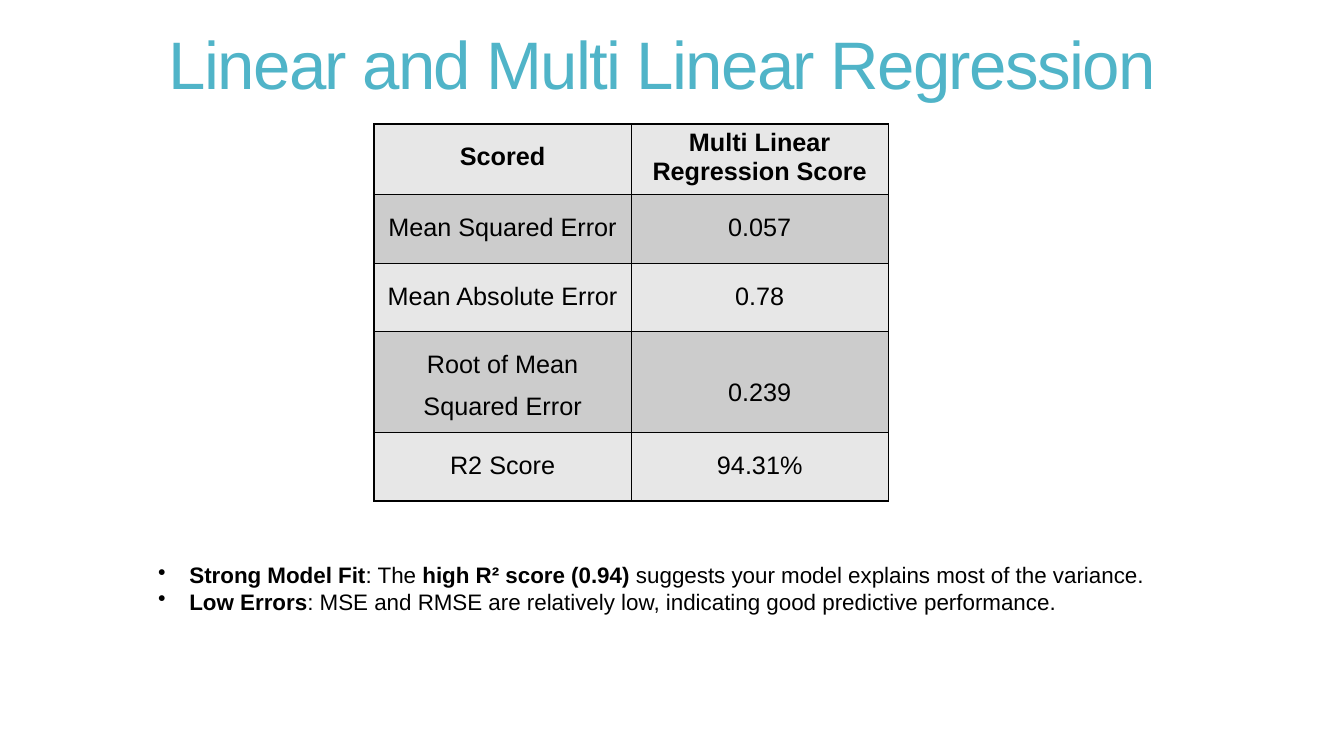
from lxml import etree
from pptx import Presentation
from pptx.dml.color import RGBColor
from pptx.enum.text import MSO_ANCHOR, PP_ALIGN
from pptx.oxml.ns import qn
from pptx.util import Inches, Pt

CENTER = PP_ALIGN.CENTER
MIDDLE = MSO_ANCHOR.MIDDLE
FONT = "Arial"
COLORS = {"title": "50B4C8", "text": "000000", "light": "E7E7E7", "dark": "CCCCCC"}

# Each cell holds its text and line spacing.
SCORES = [
    [("Scored", 1.5), ("Multi Linear Regression Score", 1.0)],
    [("Mean Squared Error", 1.5), ("0.057", 1.5)],
    [("Mean Absolute Error", 1.5), ("0.78", 1.5)],
    [("Root of Mean Squared Error", 1.5), ("0.239", 2.5)],
    [("R2 Score", 1.5), ("94.31%", 1.5)],
]
# Each note alternates bold and plain runs.
NOTES = [
    ["Strong Model Fit", ": The ", "high R² score (0.94)",
     " suggests your model explains most of the variance."],
    ["Low Errors",
     ": MSE and RMSE are relatively low, indicating good predictive performance."],
]


def rgb(name):
    return RGBColor.from_string(COLORS[name])


def set_font(para, size, color="text"):
    font = para.font
    font.name, font.size = FONT, Pt(size)
    font.color.rgb = rgb(color)


def add_box(slide, left, top, width, height):
    box = slide.shapes.add_textbox(
        Inches(left), Inches(top), Inches(width), Inches(height))
    box.text_frame.word_wrap = True
    return box.text_frame


def add_title(slide, text):
    frame = add_box(slide, 0.68, 0.12, 11.78, 1.12)
    frame.vertical_anchor = MIDDLE
    para = frame.paragraphs[0]
    run = para.add_run()
    run.text = text
    para.alignment, para.line_spacing = CENTER, 0.85
    set_font(para, 48, "title")
    run.font._element.set("spc", "-120")


def add_border(cell):
    props = cell._tc.get_or_add_tcPr()
    for pos, side in enumerate(("lnL", "lnR", "lnT", "lnB")):
        line = etree.Element(qn("a:" + side), w=str(Pt(1)))
        fill = etree.SubElement(line, qn("a:solidFill"))
        etree.SubElement(fill, qn("a:srgbClr"), val=COLORS["text"])
        props.insert(pos, line)


def add_scores(slide):
    rows, cols = len(SCORES), len(SCORES[0])
    table = slide.shapes.add_table(
        rows, cols, Inches(3.71), Inches(1.23),
        Inches(2.55 * cols), Inches(0.68 * rows)).table
    for r, row in enumerate(SCORES):
        for c, (text, spacing) in enumerate(row):
            cell = table.cell(r, c)
            cell.text = text
            cell.margin_left = cell.margin_right = Inches(0.09)
            cell.margin_top = cell.margin_bottom = Inches(0.05)
            cell.fill.solid()
            cell.fill.fore_color.rgb = rgb("dark" if r % 2 else "light")
            para = cell.text_frame.paragraphs[0]
            para.alignment, para.line_spacing = CENTER, spacing
            set_font(para, 18)
            para.font.bold = r == 0
            add_border(cell)


def add_bullet(para):
    props = para._p.get_or_add_pPr()
    indent = Inches(0.31)
    props.set("marL", str(indent))
    props.set("indent", str(-indent))
    mark = etree.Element(qn("a:buChar"), char="•")
    props.insert(0, mark)


def add_notes(slide):
    frame = add_box(slide, 1.47, 5.52, 10.19, 0.64)
    for n, parts in enumerate(NOTES):
        para = frame.add_paragraph() if n else frame.paragraphs[0]
        set_font(para, 16)
        add_bullet(para)
        for i, text in enumerate(parts):
            run = para.add_run()
            run.text = text
            run.font.bold = i % 2 == 0


def main():
    deck = Presentation()
    deck.slide_width, deck.slide_height = Inches(13.33), Inches(7.5)
    slide = deck.slides.add_slide(deck.slide_layouts[6])
    add_title(slide, "Linear and Multi Linear Regression")
    add_scores(slide)
    add_notes(slide)
    deck.save("out.pptx")


if __name__ == "__main__":
    main()
